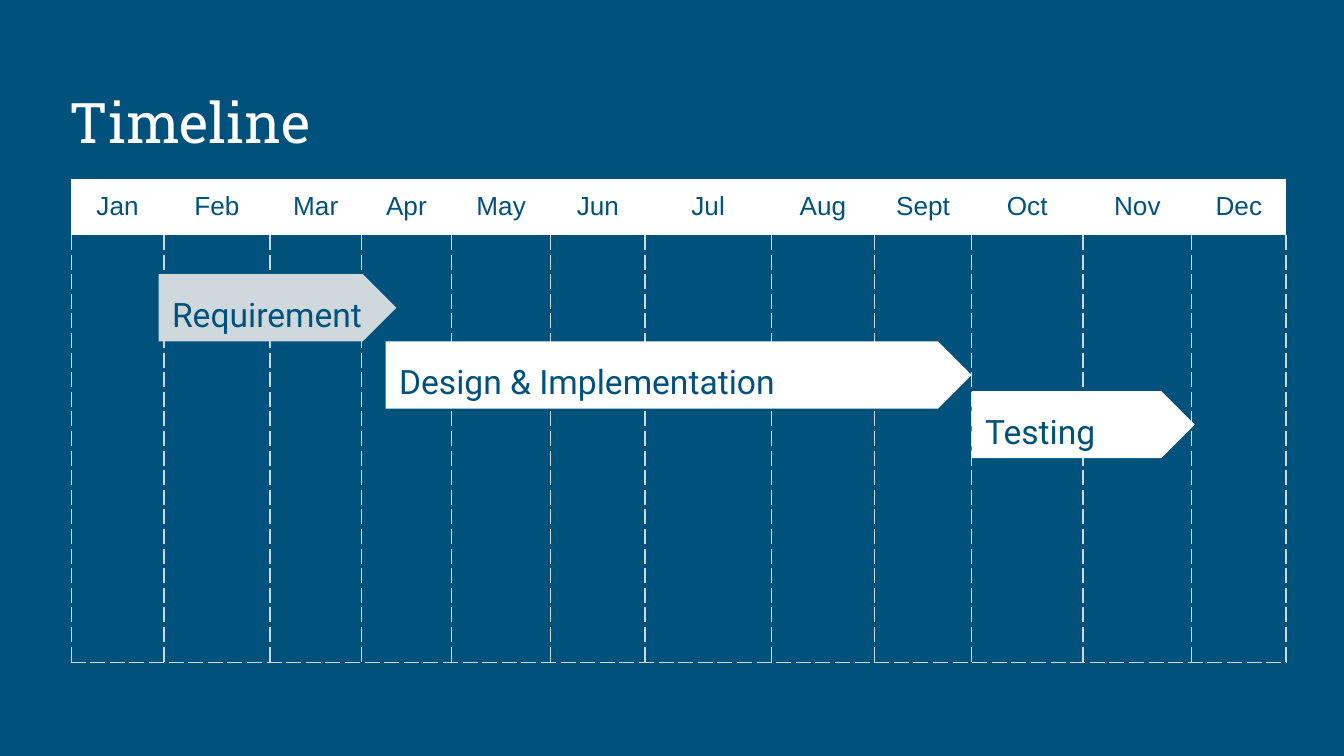
"""Build a yearly timeline slide with a month table and phase arrows."""
from dataclasses import dataclass

from pptx import Presentation
from pptx import util as u
from pptx.dml import color
from pptx.enum import shapes, text
from pptx.oxml import parse_xml
from pptx.oxml import ns

COLORS = {"navy": "00517C", "white": "FFFFFF", "grey": "CFD8DC"}
NO_STYLE = "{2D5ABB26-0587-4C30-8999-92F81FD0307C}"
MARGIN = u.Inches(0.1)
PHASE_HEIGHT = 0.5


@dataclass
class Month:
    name: str
    width: float


@dataclass
class Phase:
    label: str
    left: float
    top: float
    width: float
    text_width: float
    fill: str


MONTHS = [
    Month("Jan", 0.69), Month("Feb", 0.79), Month("Mar", 0.68),
    Month("Apr", 0.67), Month("May", 0.74), Month("Jun", 0.7),
    Month("Jul", 0.94), Month("Aug", 0.77), Month("Sept", 0.72),
    Month("Oct", 0.83), Month("Nov", 0.81), Month("Dec", 0.7),
]
PHASES = [
    Phase("Requirement", 1.18, 2.04, 1.77, 2.05, "grey"),
    Phase("Design & Implementation", 2.87, 2.54, 4.36, 3.57, "white"),
    Phase("Testing", 7.23, 2.91, 1.66, 1.53, "white"),
]


def rgb(name: str) -> color.RGBColor:
    return color.RGBColor.from_string(COLORS[name])


def style(para, font: str, size: float, ink: str) -> None:
    para.font.name = font
    para.font.size = u.Pt(size)
    para.font.bold = False
    para.font.color.rgb = rgb(ink)


def place(box, left: float, top: float, width: float, height: float) -> None:
    box.left, box.top = u.Inches(left), u.Inches(top)
    box.width, box.height = u.Inches(width), u.Inches(height)


def write(box, words: str, anchor: text.MSO_ANCHOR):
    frame = box.text_frame
    frame.text = words
    frame.word_wrap = True
    frame.auto_size = text.MSO_AUTO_SIZE.NONE
    frame.vertical_anchor = anchor
    frame.margin_left = frame.margin_right = MARGIN
    frame.margin_top = frame.margin_bottom = MARGIN
    para = frame.paragraphs[0]
    para.alignment = text.PP_ALIGN.LEFT
    return para


def add_borders(cell) -> None:
    properties = cell._tc.get_or_add_tcPr()
    for position, side in enumerate(("lnL", "lnR", "lnB")):
        properties.insert(position, parse_xml(
            f'<a:{side} {ns.nsdecls("a")} w="{u.Pt(0.75)}"><a:solidFill>'
            f'<a:srgbClr val="{COLORS["grey"]}"/></a:solidFill>'
            f'<a:prstDash val="dash"/></a:{side}>'))


def add_calendar(page, months: list[Month]) -> None:
    total = sum(month.width for month in months)
    graphic = page.shapes.add_table(
        2, len(months), u.Inches(0.53), u.Inches(1.33),
        u.Inches(total), u.Inches(3.58))
    next(graphic.element.iter(ns.qn("a:tableStyleId"))).text = NO_STYLE
    table = graphic.table
    table.horz_banding = False
    table.rows[0].height, table.rows[1].height = u.Inches(0.4), u.Inches(3.18)
    for index, month in enumerate(months):
        table.columns[index].width = u.Inches(month.width)
        header, body = table.cell(0, index), table.cell(1, index)
        header.text = month.name
        header.margin_left = header.margin_right = MARGIN
        header.margin_top = header.margin_bottom = MARGIN
        header.fill.solid()
        header.fill.fore_color.rgb = rgb("white")
        para = header.text_frame.paragraphs[0]
        para.alignment = text.PP_ALIGN.CENTER
        style(para, "Arial", 14, "navy")
        body.fill.background()
        add_borders(body)


def add_phase(page, phase: Phase, box) -> None:
    arrow = page.shapes.add_shape(
        shapes.MSO_SHAPE.PENTAGON, u.Inches(phase.left), u.Inches(phase.top),
        u.Inches(phase.width), u.Inches(PHASE_HEIGHT))
    arrow.shadow.inherit = False
    arrow.fill.solid()
    arrow.fill.fore_color.rgb = rgb(phase.fill)
    arrow.line.fill.background()
    arrow.element.addnext(box.element)
    place(box, phase.left, phase.top, phase.text_width, PHASE_HEIGHT)
    para = write(box, phase.label, text.MSO_ANCHOR.TOP)
    para.line_spacing = 1.15
    para.space_before = u.Pt(0)
    style(para, "Roboto", 18, "navy")
    properties = para._p.get_or_add_pPr()
    properties.set("marL", "0")
    properties.set("indent", "0")
    bullet = parse_xml(f'<a:buNone {ns.nsdecls("a")}/>')
    properties.find(ns.qn("a:defRPr")).addprevious(bullet)


def main() -> None:
    deck = Presentation()
    deck.slide_width = u.Inches(10)
    deck.slide_height = deck.slide_width * 9 // 16
    page = deck.slides.add_slide(deck.slide_layouts.get_by_name("Comparison"))
    page.background.fill.solid()
    page.background.fill.fore_color.rgb = rgb("navy")
    title, *bodies = page.placeholders
    add_calendar(page, MONTHS)
    place(title, 0.42, 0.5, 9.15, 0.75)
    para = write(title, "Timeline", text.MSO_ANCHOR.BOTTOM)
    style(para, "Roboto Slab", 30, "white")
    for phase, box in zip(PHASES, bodies):
        add_phase(page, phase, box)
    for spare in bodies[len(PHASES):]:
        spare.element.getparent().remove(spare.element)
    deck.save("out.pptx")


if __name__ == "__main__":
    main()
